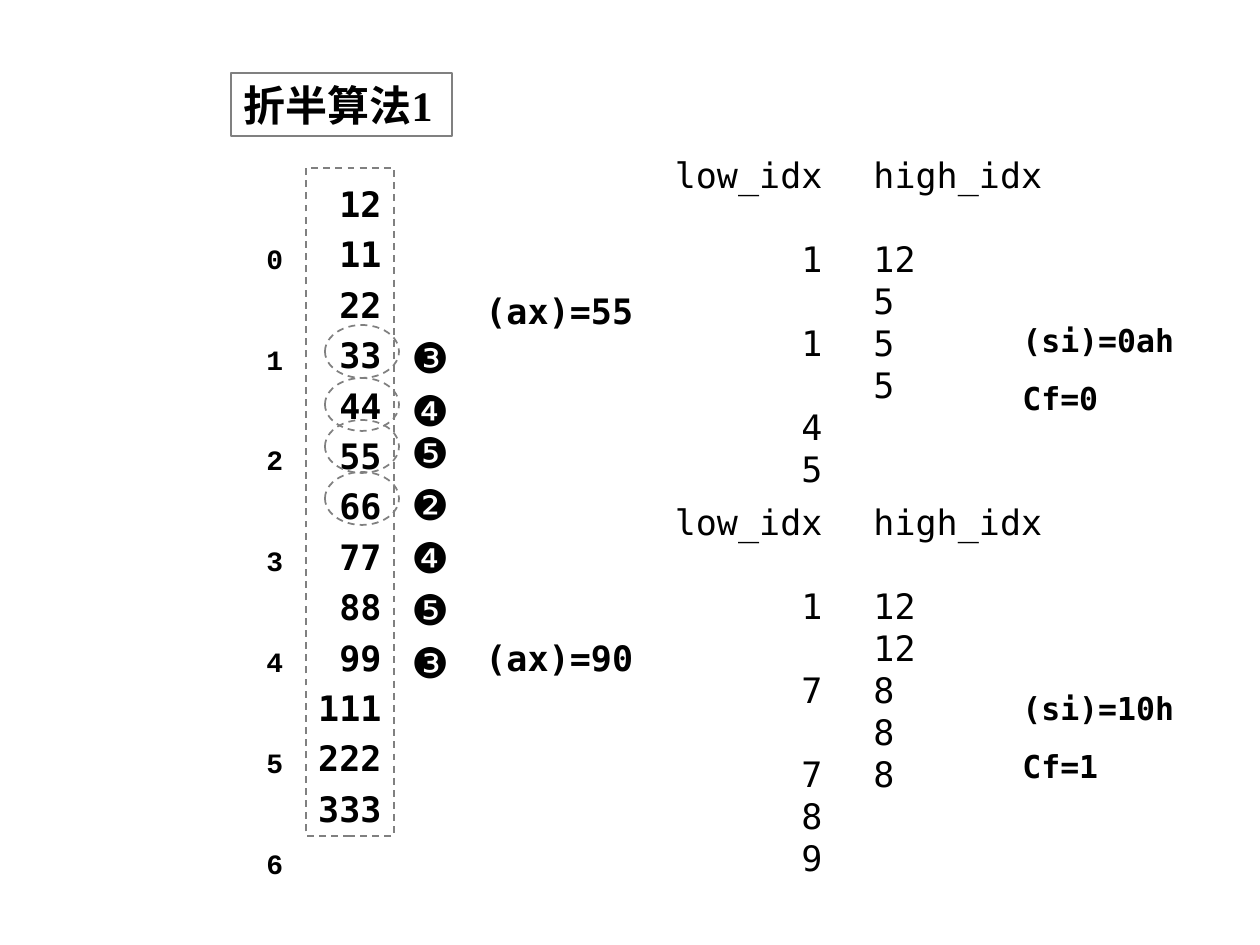
from pptx import Presentation
from pptx.dml.color import RGBColor
from pptx.enum.dml import MSO_LINE
from pptx.enum.shapes import MSO_SHAPE
from pptx.enum.text import MSO_ANCHOR, PP_ALIGN
from pptx.util import Emu, Pt

DASH = MSO_LINE.DASH
RECTANGLE, OVAL = MSO_SHAPE.RECTANGLE, MSO_SHAPE.OVAL
LEFT, RIGHT, TOP = PP_ALIGN.LEFT, PP_ALIGN.RIGHT, MSO_ANCHOR.TOP

PX_PER_INCH = 126
MONO = "DejaVu Sans Mono"
BLACK, GREY = "000000", "808080"

TITLE = "折半算法1"
ARRAY = ["12", "11", "22", "33", "44", "55", "66", "77", "88", "99", "111", "222", "333"]
INDEXES = ["0", "1", "2", "3", "4", "5", "6"]
PROBE_STEPS = [(325, "❸"), (378, "❹"), (420, "❺"), (472, "❷"),
               (525, "❹"), (577, "❺"), (630, "❸")]
CIRCLED_PROBES = 4
SEARCHES = [
    {"top": 147, "key": "(ax)=55",
     "low": ["1", None, "1", None, "4", "5"],
     "high": ["12", "5", "5", "5"],
     "result_top": 315, "result": ["(si)=0ah", "Cf=0"]},
    {"top": 494, "key": "(ax)=90",
     "low": ["1", None, "7", None, "7", "8", "9"],
     "high": ["12", "12", "8", "8", "8"],
     "result_top": 683, "result": ["(si)=10h", "Cf=1"]},
]


def px(value):
    return Emu(round(value * 914400 / PX_PER_INCH))


def color(hex_string):
    return RGBColor.from_string(hex_string)


def write(frame, lines, size, font, bold=False, align=LEFT, spacing=1.2, before=0, wrap=False):
    frame.word_wrap = wrap
    frame.vertical_anchor = TOP
    skipped = 0
    started = False
    for line in lines:
        if line is None:
            skipped += 1
            continue
        paragraph = frame.add_paragraph() if started else frame.paragraphs[0]
        paragraph.text = line
        paragraph.alignment = align
        paragraph.line_spacing = Pt(round(size * spacing, 1))
        paragraph.space_before = Pt((before if started else 0) + skipped * size * spacing)
        paragraph.font.size = Pt(size)
        paragraph.font.name = font
        paragraph.font.bold = bold
        paragraph.font.color.rgb = color(BLACK)
        started, skipped = True, 0


def add_text(slide, left, top, width, height, lines, size, font=MONO, **style):
    box = slide.shapes.add_textbox(px(left), px(top), px(width), px(height))
    write(box.text_frame, lines, size, font, **style)


def add_outline(slide, kind, left, top, width, height, dash=None):
    outline = slide.shapes.add_shape(kind, px(left), px(top), px(width), px(height))
    outline.shadow.inherit = False
    outline.fill.background()
    outline.line.color.rgb = color(GREY)
    outline.line.width = Pt(1)
    if dash:
        outline.line.dash_style = dash
    return outline


def main():
    deck = Presentation()
    deck.slide_width, deck.slide_height = px(1260), px(945)
    slide = deck.slides.add_slide(deck.slide_layouts[5])

    title = slide.shapes.title
    title.left, title.top, title.width, title.height = px(231), px(73), px(284), px(63)
    write(title.text_frame, [TITLE], 24, "Times New Roman", bold=True, wrap=True)
    add_outline(slide, RECTANGLE, 231, 73, 221, 63)

    array = add_outline(slide, RECTANGLE, 306, 168, 88, 668, DASH)
    write(array.text_frame, ARRAY, 20, MONO, bold=True, align=RIGHT, spacing=1.44)
    add_text(slide, 254, 168, 57, 719, INDEXES, 16, "Courier New", bold=True, spacing=3.6)

    for step, (top, mark) in enumerate(PROBE_STEPS):
        if step < CIRCLED_PROBES:
            add_outline(slide, OVAL, 325, top, 74, 53, DASH)
        add_text(slide, 399, top, 62, 63, [mark], 24, "Arial")

    for search in SEARCHES:
        top = search["top"]
        for left, width, heading, values, align in (
            (661, 174, "low_idx", search["low"], RIGHT),
            (861, 194, "high_idx", search["high"], LEFT),
        ):
            lines = [heading, None] + values
            add_text(slide, left, top, width, 13 + 42 * len(lines), lines, 20, align=align)
        add_text(slide, 473, top + 136, 210, 55, [search["key"]], 20, bold=True, wrap=True)
        add_text(slide, 1010, search["result_top"], 189, 108, search["result"], 18,
                 bold=True, before=11.2, wrap=True)

    deck.save("out.pptx")


if __name__ == "__main__":
    main()
